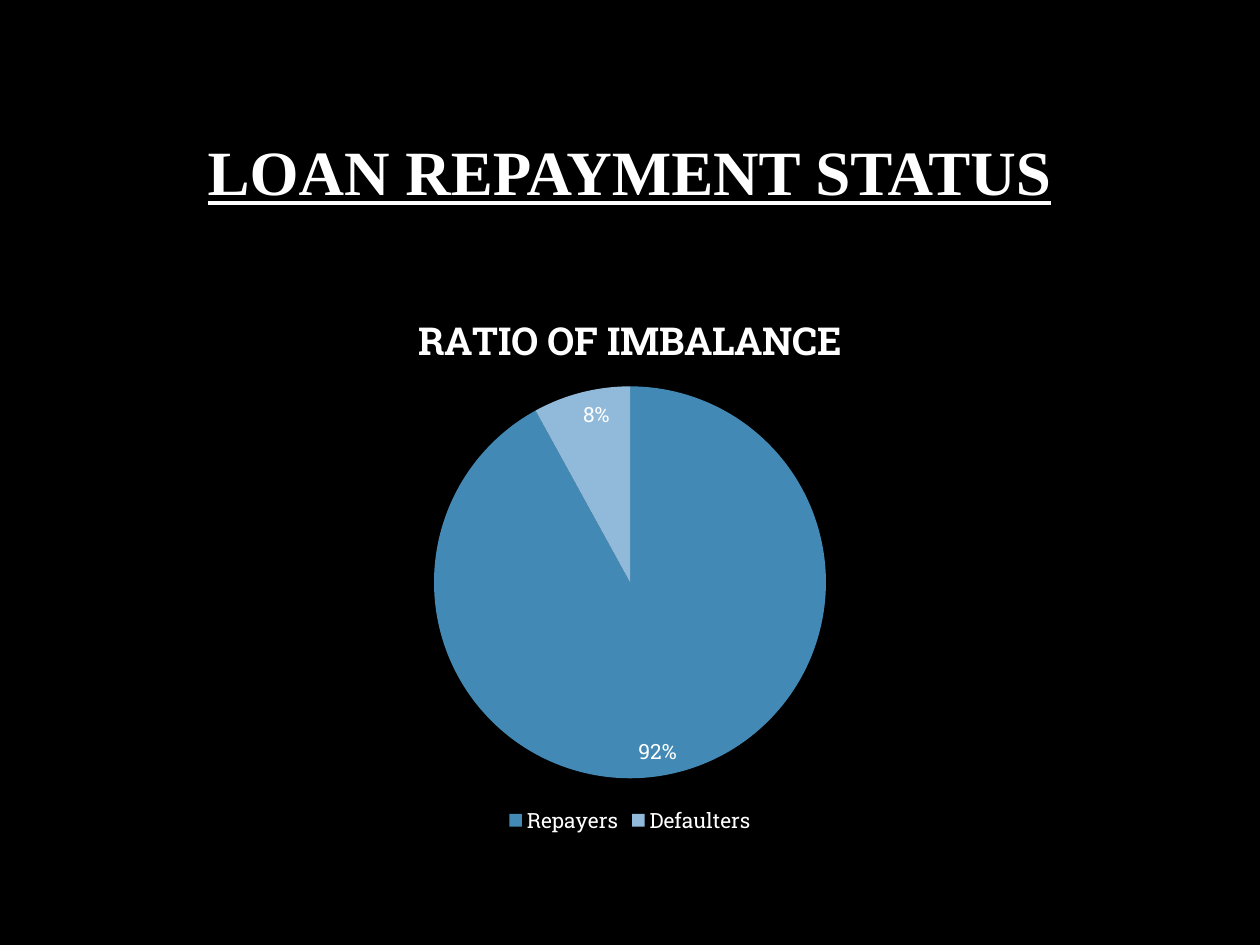
from lxml import etree
from pptx import Presentation
from pptx.chart.data import CategoryChartData
from pptx.dml.color import RGBColor
from pptx.enum import chart as ch, text as tx
from pptx.oxml import ns
from pptx.util import Pt

COLORS = {"back": "000000", "text": "FFFFFF", "repay": "428AB5", "default": "91B9D9"}
HEAD, BODY = "Times New Roman", "Roboto Slab"


def paint(fill, name):
    fill.solid()
    fill.fore_color.rgb = RGBColor.from_string(COLORS[name])


def style(font, face, size, bold=False):
    font.name, font.size, font.bold = face, Pt(size), bold
    font.color.rgb = RGBColor.from_string(COLORS["text"])


def add_head(slide, words):
    box = slide.shapes.add_textbox(Pt(54), Pt(48), Pt(611.5), Pt(104.5))
    frame = box.text_frame
    frame.word_wrap = True
    frame.vertical_anchor = tx.MSO_ANCHOR.MIDDLE
    para = frame.paragraphs[0]
    para.alignment = tx.PP_ALIGN.CENTER
    para.line_spacing = 0.9
    run = para.add_run()
    run.text = words
    style(run.font, HEAD, 36, True)
    run.font.underline = True


def place_plot(chart, **area):
    """Fix the inner plot area, in fractions of the chart."""
    plot = chart._chartSpace.chart.plotArea
    for old in plot.findall(ns.qn("c:layout")):
        plot.remove(old)
    layout = etree.Element(ns.qn("c:layout"))
    manual = etree.SubElement(layout, ns.qn("c:manualLayout"))
    parts = {"layoutTarget": "inner", "xMode": "edge", "yMode": "edge", **area}
    for tag, val in parts.items():
        etree.SubElement(manual, ns.qn("c:" + tag)).set("val", str(val))
    plot.insert(0, layout)


def add_pie(slide, title, shares):
    """Draw shares, a dict of name to (percent, colour name)."""
    data = CategoryChartData()
    data.categories = list(shares)
    data.add_series("Series 1", [val for val, _ in shares.values()])
    chart = slide.shapes.add_chart(
        ch.XL_CHART_TYPE.PIE, Pt(114), Pt(164), Pt(492), Pt(315.5), data).chart
    style(chart.font, BODY, 10)

    chart.has_title = True
    run = chart.chart_title.text_frame.paragraphs[0].add_run()
    run.text = title
    style(run.font, BODY, 22, True)
    chart.chart_title.include_in_layout = False

    chart.has_legend = True
    chart.legend.position = ch.XL_LEGEND_POSITION.BOTTOM
    chart.legend.include_in_layout = False
    style(chart.legend.font, BODY, 12)

    plot = chart.plots[0]
    plot.vary_by_categories = True
    for i, (_, color) in enumerate(shares.values()):
        part = plot.series[0].points[i].format
        paint(part.fill, color)
        part.line.fill.background()

    plot.has_data_labels = True
    labels = plot.data_labels
    labels.show_value = False
    labels.show_percentage = True
    labels.number_format = "0%"
    labels.number_format_is_linked = False
    labels.position = ch.XL_LABEL_POSITION.INSIDE_END
    style(labels.font, BODY, 12)
    place_plot(chart, x=0.27, y=0.18, w=0.46, h=0.71)


def main():
    deck = Presentation()
    deck.slide_width, deck.slide_height = Pt(720), Pt(540)
    slide = deck.slides.add_slide(deck.slide_layouts[6])
    paint(slide.background.fill, "back")
    add_head(slide, "LOAN REPAYMENT STATUS")
    add_pie(slide, "RATIO OF IMBALANCE",
            {"Repayers": (92, "repay"), "Defaulters": (8, "default")})
    deck.save("out.pptx")


if __name__ == "__main__":
    main()
